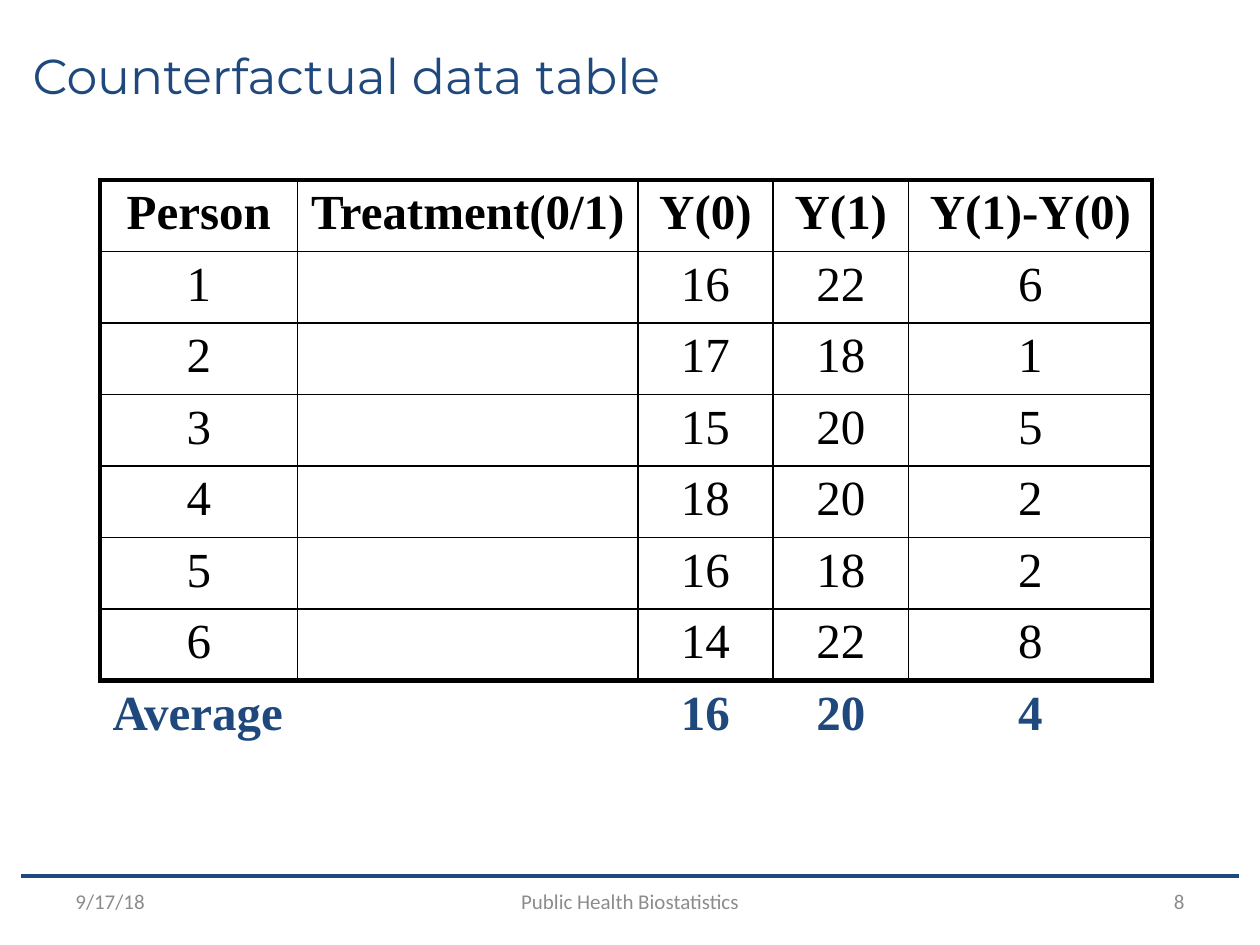
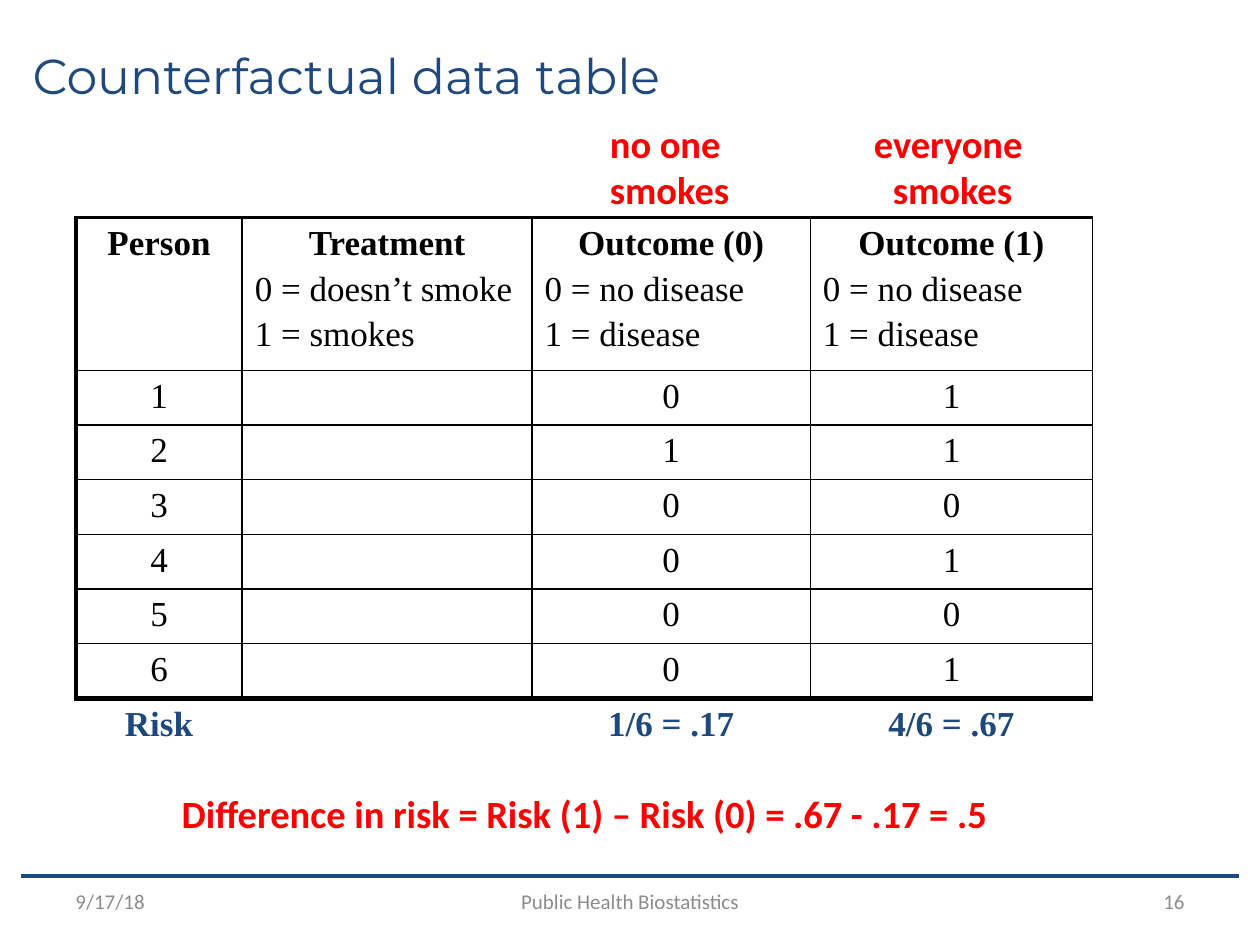
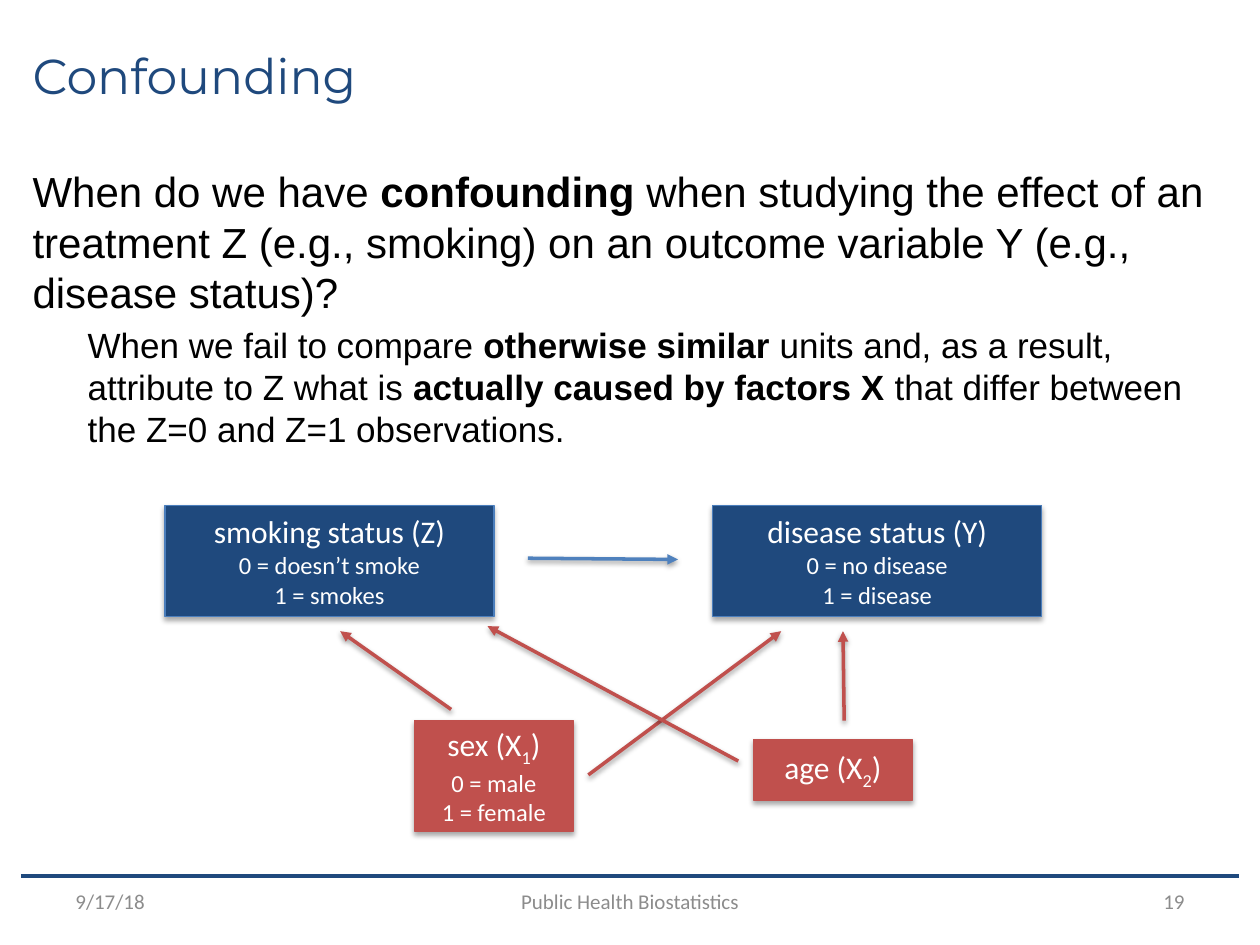
"""Build three slides on counterfactual data and confounding."""
from lxml import etree
from pptx import Presentation
from pptx.dml.color import RGBColor
from pptx.enum.shapes import MSO_CONNECTOR, MSO_SHAPE
from pptx.enum.text import MSO_ANCHOR as ANCHOR, PP_ALIGN as ALIGN
from pptx.oxml import parse_xml
from pptx.oxml.ns import nsdecls, qn
from pptx.util import Pt

COLORS = {
    "navy": "1F497D", "gray": "8C8C8C", "black": "000000", "red": "FF0000",
    "white": "FFFFFF", "brick": "C0504D", "blue": "4F81BD", "edge": "4B7EBC",
}
RGB = {name: RGBColor.from_string(value) for name, value in COLORS.items()}
BOLD, SUBSCRIPT = ("b", "1"), ("baseline", "-25000")


def write(paragraph, text, font, size, color, align=ALIGN.LEFT, bold=False, accent=BOLD):
    """Write text, giving the accent to every piece between bars."""
    paragraph.alignment = align
    for index, piece in enumerate(text.split("|")):
        run = paragraph.add_run()
        run.text = piece
        run.font.name, run.font.size, run.font.bold = font, Pt(size), bold
        run.font.color.rgb = RGB[color]
        if index % 2:
            run.font._element.set(*accent)


def cast_shadow(item, distance, opacity):
    """Give a finished shape or connector a soft shadow below it."""
    item.element.spPr.append(parse_xml(
        f'<a:effectLst {nsdecls("a")}><a:outerShdw blurRad="{Pt(3.1)}" dist="{Pt(distance)}" '
        f'dir="5400000" rotWithShape="0"><a:srgbClr val="{COLORS["black"]}">'
        f'<a:alpha val="{opacity}000"/></a:srgbClr></a:outerShdw></a:effectLst>'))


deck = Presentation()
deck.slide_width, deck.slide_height = Pt(720), Pt(540)

slides = []
for heading, number in [("Counterfactual data table", "8"),
                        ("Counterfactual data table", "16"), ("Confounding", "19")]:
    slide = deck.slides.add_slide(deck.slide_layouts[6])
    slides.append(slide)
    rule = slide.shapes.add_connector(MSO_CONNECTOR.STRAIGHT, Pt(12), Pt(500.4), Pt(708), Pt(500.4))
    rule.line.color.rgb, rule.line.width = RGB["navy"], Pt(2.5)
    etree.SubElement(rule.element.spPr, qn("a:effectLst"))
    for text, left, top, width, height, font, size, color, align in [
        (heading, 11.5, 10, 692.6, 65, "Montserrat", 28, "navy", ALIGN.LEFT),
        ("9/17/18", 36, 500.4, 168, 28.8, "Calibri", 12, "gray", ALIGN.LEFT),
        ("Public Health Biostatistics", 204, 500.4, 312, 28.8, "Calibri", 12, "gray", ALIGN.CENTER),
        (number, 516, 500.4, 168, 28.8, "Calibri", 12, "gray", ALIGN.RIGHT),
    ]:
        frame = slide.shapes.add_textbox(Pt(left), Pt(top), Pt(width), Pt(height)).text_frame
        frame.word_wrap, frame.vertical_anchor = True, ANCHOR.MIDDLE
        write(frame.paragraphs[0], text, font, size, color, align)
effects_slide, risks_slide, confounding_slide = slides

effects = [
    ["Person", "Treatment(0/1)", "Y(0)", "Y(1)", "Y(1)-Y(0)"],
    ["1", "", "16", "22", "6"],
    ["2", "", "17", "18", "1"],
    ["3", "", "15", "20", "5"],
    ["4", "", "18", "20", "2"],
    ["5", "", "16", "18", "2"],
    ["6", "", "14", "22", "8"],
    ["Average", "", "16", "20", "4"],
]
risks = [
    ["Person", "Treatment\n0 = doesn’t smoke\n1 = smokes",
     "Outcome (0)\n0 = no disease\n1 = disease", "Outcome (1)\n0 = no disease\n1 = disease"],
    ["1", "", "0", "1"],
    ["2", "", "1", "1"],
    ["3", "", "0", "0"],
    ["4", "", "0", "1"],
    ["5", "", "0", "0"],
    ["6", "", "0", "1"],
    ["Risk", "", "1/6 = .17", "4/6 = .67"],
]
for slide, rows, left, top, widths, header_height, row_height, size, right_edge in [
    (effects_slide, effects, 57.1, 102.8, [113, 194.4, 77.2, 77.6, 139], 40.8, 40.8, 28, 2.25),
    (risks_slide, risks, 43.4, 124.4, [95, 165.6, 159.1, 161.3], 82.2, 29.4, 20, 1),
]:
    summary = len(rows) - 1
    table = slide.shapes.add_table(len(rows), len(widths), Pt(left), Pt(top), Pt(sum(widths)),
                                   Pt(header_height + row_height * summary)).table
    table.first_row = table.horz_banding = False
    for column, width in zip(table.columns, widths):
        column.width = Pt(width)
    for r, row in enumerate(rows):
        table.rows[r].height = Pt(row_height if r else header_height)
        for c, text in enumerate(row):
            cell = table.cell(r, c)
            borders = {
                "lnL": 2.25 if c == 0 else 1,
                "lnR": right_edge if c == len(widths) - 1 else 1,
                "lnT": 2.25 if r == 0 else 1,
                "lnB": 3 if r == summary - 1 else 1,
            }
            if r == summary:
                borders = {"lnL": 0, "lnR": 0, "lnT": 3, "lnB": 0}
            for side, weight in borders.items():
                edge = etree.SubElement(cell._tc.get_or_add_tcPr(), qn(f"a:{side}"), w=str(Pt(weight)))
                paint = etree.SubElement(edge, qn("a:solidFill" if weight else "a:noFill"))
                if weight:
                    etree.SubElement(paint, qn("a:srgbClr"), val=COLORS["black"])
            cell.fill.background()
            if not text:
                continue
            for n, line in enumerate(text.split("\n")):
                paragraph = cell.text_frame.add_paragraph() if n else cell.text_frame.paragraphs[0]
                if n:
                    paragraph.space_before = Pt(size * 0.2)
                write(paragraph, line, "Times New Roman", size,
                      "navy" if r == summary else "black",
                      ALIGN.LEFT if n or text == "Average" else ALIGN.CENTER,
                      bold=r in (0, summary) and n == 0)

for lines, left, top, width in [
    (["everyone ", "smokes"], 484.3, 64.8, 120),
    (["no one ", "smokes"], 322.6, 64.8, 120),
    (["Difference in risk = Risk (1) – Risk (0) = .67 - .17 = .5"], 84.5, 447.8, 499),
]:
    frame = risks_slide.shapes.add_textbox(Pt(left), Pt(top), Pt(width), Pt(81.4)).text_frame
    frame.word_wrap = False
    for n, line in enumerate(lines):
        paragraph = frame.add_paragraph() if n else frame.paragraphs[0]
        write(paragraph, line, "Calibri", 22, "red", ALIGN.CENTER, bold=True)

body = confounding_slide.shapes.add_textbox(Pt(11.5), Pt(90.7), Pt(692.6), Pt(388.8)).text_frame
body.word_wrap = True
question, answer = body.paragraphs[0], body.add_paragraph()
write(question, "When do we have |confounding |when studying the effect of an treatment Z "
      "(e.g., smoking) on an outcome variable Y (e.g., disease status)?", "Arial", 24, "black")
write(answer, "When we fail to compare |otherwise similar |units and, as a result, attribute to Z "
      "what is |actually caused by factors X |that differ between the Z=0 and Z=1 observations.",
      "Arial", 20, "black")
question.line_spacing, answer.line_spacing = Pt(29), Pt(24)
answer.space_before = Pt(3.5)
answer._p.get_or_add_pPr().set("marL", str(Pt(31.5)))

for lines, left, top, width, height, fill, outline in [
    (["smoking status (Z)", "0 = doesn’t smoke", "1 = smokes"], 94.3, 288.7, 188, 63.4, "navy", "edge"),
    (["disease status (Y)", "0 = no disease", "1 = disease"], 407.3, 288.7, 188, 63.4, "navy", "edge"),
    (["sex (X|1|)", "0 = male", "1 = female"], 236.9, 411.7, 90.7, 63.2, "brick", "brick"),
    (["age (X|2|)"], 430.6, 422.6, 90.7, 34.6, "brick", "brick"),
]:
    factor = confounding_slide.shapes.add_shape(MSO_SHAPE.RECTANGLE, Pt(left), Pt(top), Pt(width), Pt(height))
    factor.fill.solid()
    factor.fill.fore_color.rgb = RGB[fill]
    factor.line.color.rgb, factor.line.width = RGB[outline], Pt(0.75)
    cast_shadow(factor, 1.8, 35)
    frame = factor.text_frame
    frame.word_wrap, frame.vertical_anchor = True, ANCHOR.MIDDLE
    for n, line in enumerate(lines):
        paragraph = frame.add_paragraph() if n else frame.paragraphs[0]
        write(paragraph, line, "Calibri", 14 if n else 18, "white", ALIGN.CENTER, accent=SUBSCRIPT)

for x1, y1, x2, y2, color in [
    (301.7, 319, 387.4, 319.7, "blue"),
    (336.2, 442.8, 446.4, 360.7, "brick"),
    (257.8, 405.4, 194.4, 360.7, "brick"),
    (482.4, 411.8, 481.7, 360.7, "brick"),
    (421.9, 434.9, 278.6, 357.8, "brick"),
]:
    arrow = confounding_slide.shapes.add_connector(MSO_CONNECTOR.STRAIGHT, Pt(x1), Pt(y1), Pt(x2), Pt(y2))
    arrow.line.color.rgb, arrow.line.width = RGB[color], Pt(2)
    etree.SubElement(arrow.element.spPr.find(qn("a:ln")), qn("a:tailEnd"), type="triangle")
    cast_shadow(arrow, 1.6, 38)

deck.save("out.pptx")
